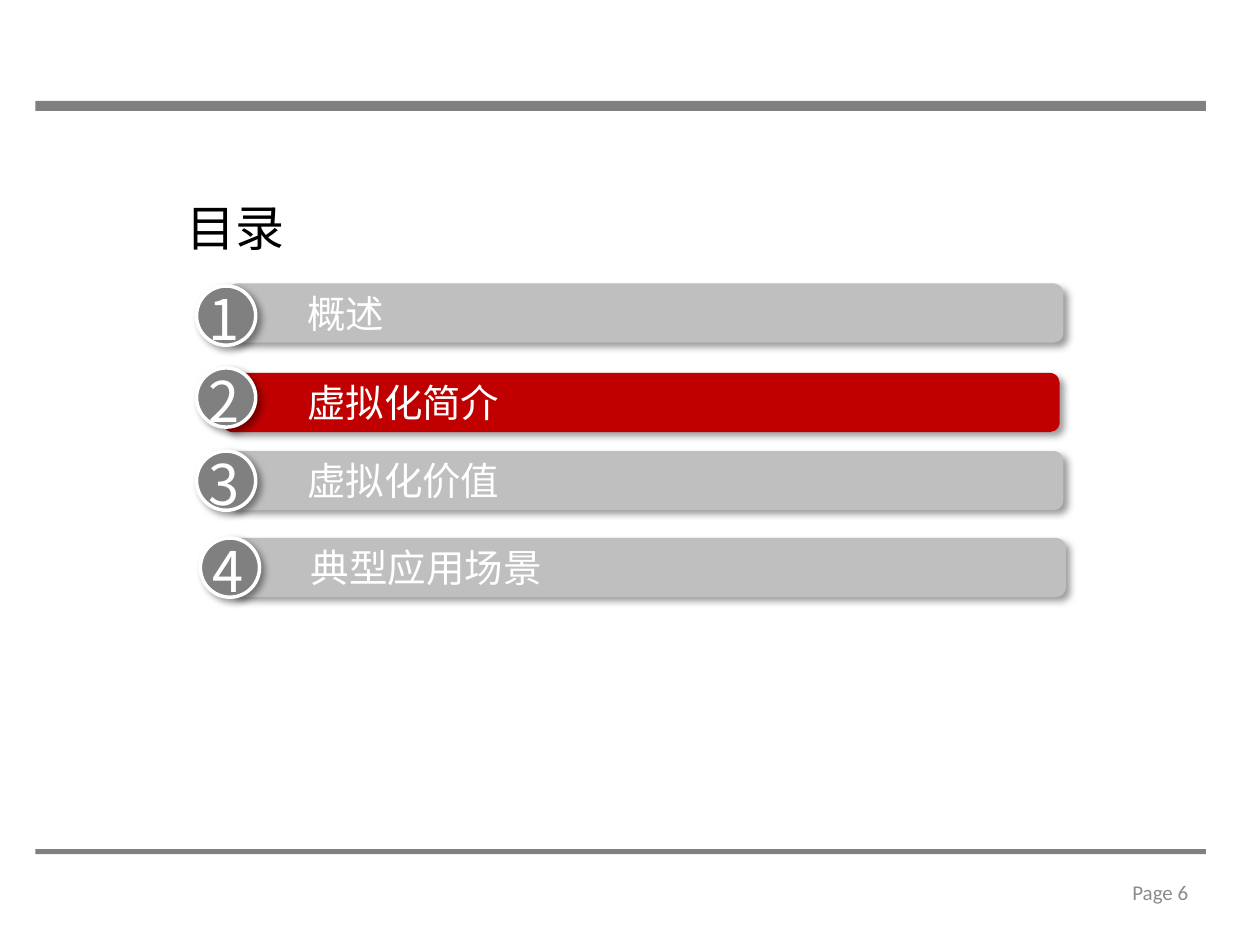
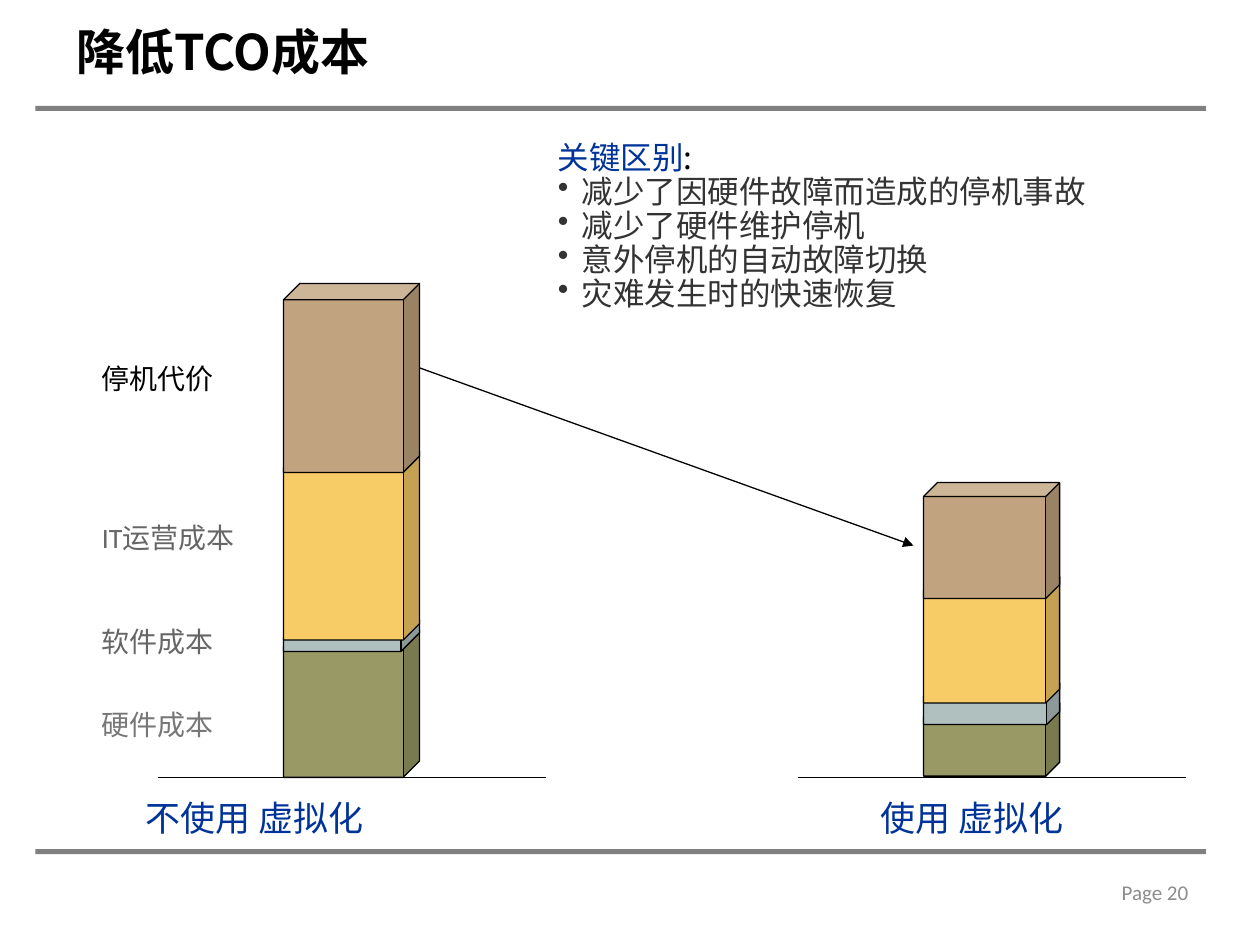
from dataclasses import dataclass

from lxml.etree import SubElement
from pptx import Presentation
from pptx.dml.color import RGBColor
from pptx.enum.shapes import MSO_CONNECTOR, MSO_SHAPE
from pptx.enum.text import MSO_ANCHOR, PP_ALIGN
from pptx.oxml.ns import qn
from pptx.util import Inches, Pt

COLORS = {
    "black": "000000", "white": "FFFFFF", "rule": "808080", "page": "8C8C8C",
    "bar": "BFBFBF", "current": "C00000", "blue": "003399", "body": "333333",
    "label": "666666", "label_light": "777777",
    "hardware": "999966", "software": "AFC0BF", "operations": "F7CB66", "downtime": "C1A37F",
}
CJK, LATIN = "Noto Sans CJK SC", "Calibri"


@dataclass
class AgendaItem:
    text: str
    bar_left: float
    bar_top: float
    badge_left: float
    badge_top: float
    color: str = "bar"


@dataclass
class Layer:
    color: str
    top: float
    height: float
    depth: float


@dataclass
class CostColumn:
    caption: str
    caption_left: float
    left: float
    layers: list[Layer]


@dataclass
class CostLabel:
    text: str
    top: float
    color: str


AGENDA = [
    AgendaItem("概述", 1.8, 2.25, 1.56, 2.27),
    AgendaItem("虚拟化简介", 1.77, 2.96, 1.56, 2.92, "current"),
    AgendaItem("虚拟化价值", 1.8, 3.58, 1.56, 3.58),
    AgendaItem("典型应用场景", 1.82, 4.27, 1.59, 4.27),
]
COLUMNS = [
    CostColumn("不使用 虚拟化", 1.06, 2.25, [
        Layer("hardware", 5, 1.17, 0.12), Layer("software", 4.92, 0.25, 0.59),
        Layer("operations", 3.58, 1.5, 0.12), Layer("downtime", 2.25, 1.5, 0.12)]),
    CostColumn("使用 虚拟化", 6.89, 7.33, [
        Layer("hardware", 5.58, 0.58, 0.19), Layer("software", 5.42, 0.33, 0.31),
        Layer("operations", 4.58, 1, 0.11), Layer("downtime", 3.83, 0.92, 0.12)]),
]
COST_LABELS = [
    CostLabel("停机代价", 2.82, "black"),
    CostLabel("IT运营成本", 4.08, "label"),
    CostLabel("软件成本", 4.91, "label"),
    CostLabel("硬件成本", 5.57, "label_light"),
]
BENEFITS = ["减少了因硬件故障而造成的停机事故", "减少了硬件维护停机",
            "意外停机的自动故障切换", "灾难发生时的快速恢复"]


def rgb(name: str) -> RGBColor:
    return RGBColor.from_string(COLORS[name])


def style_run(r, size: float, color: str, font: str = CJK, bold: bool = False) -> None:
    r.font.size, r.font.bold, r.font.name = Pt(size), bold, font
    r.font.color.rgb = rgb(color)
    SubElement(r._r.get_or_add_rPr(), qn("a:ea"), typeface=CJK)


def add_text(s, text: str, left: float, top: float, width: float, height: float,
             size: float, color: str, font: str = CJK, bold: bool = False, wrap: bool = False):
    sp = s.shapes.add_textbox(Inches(left), Inches(top), Inches(width), Inches(height))
    tf = sp.text_frame
    tf.word_wrap = wrap
    tf.text = text
    style_run(tf.paragraphs[0].runs[0], size, color, font, bold)
    return tf


def add_block(s, kind, left: float, top: float, width: float, height: float,
              fill: str, line: str = "", weight: float = 0.75):
    sp = s.shapes.add_shape(kind, Inches(left), Inches(top), Inches(width), Inches(height))
    sp.shadow.inherit = False
    sp.fill.solid()
    sp.fill.fore_color.rgb = rgb(fill)
    if line:
        sp.line.color.rgb, sp.line.width = rgb(line), Pt(weight)
    else:
        sp.line.fill.background()
    return sp


def drop_shadow(sp) -> None:
    effects = sp._element.spPr.find(qn("a:effectLst"))
    shadow = SubElement(effects, qn("a:outerShdw"), blurRad=str(Pt(4)), dist=str(Pt(3)),
                        dir="2700000", algn="tl", rotWithShape="0")
    color = SubElement(shadow, qn("a:srgbClr"), val=COLORS["black"])
    SubElement(color, qn("a:alpha"), val="40000")


def add_line(s, x1: float, y1: float, x2: float, y2: float, arrow: bool = False) -> None:
    c = s.shapes.add_connector(MSO_CONNECTOR.STRAIGHT, Inches(x1), Inches(y1),
                               Inches(x2), Inches(y2))
    c.line.color.rgb, c.line.width = rgb("black"), Pt(0.75)
    if arrow:
        SubElement(c.line._get_or_add_ln(), qn("a:tailEnd"), type="triangle")
    SubElement(c._element.spPr, qn("a:effectLst"))


def add_frame_slide(prs, page: int, rule_tops: list[float]):
    """Add a blank slide with its grey rules and page number."""
    s = prs.slides.add_slide(prs.slide_layouts[6])
    for top in rule_tops:
        add_block(s, MSO_SHAPE.RECTANGLE, 0.28, top, 9.29, 0.04, "rule")
    tf = add_text(s, f"Page {page}", 7.2, 6.82, 2.33, 0.52, 12, "page", LATIN, wrap=True)
    tf.vertical_anchor = MSO_ANCHOR.MIDDLE
    tf.paragraphs[0].alignment = PP_ALIGN.RIGHT
    return s


def add_agenda_item(s, number: int, item: AgendaItem) -> None:
    x, y = item.badge_left, item.badge_top
    drop_shadow(add_block(s, MSO_SHAPE.ROUNDED_RECTANGLE, item.bar_left, item.bar_top,
                          6.64, 0.47, item.color))
    drop_shadow(add_block(s, MSO_SHAPE.OVAL, x, y, 0.47, 0.47, "rule", "white", 2))
    add_text(s, str(number), x, y - 0.06, 0.43, 0.64, 32, "white")
    add_text(s, item.text, x + 0.78, item.bar_top, 0.2 + 0.31 * len(item.text), 0.47, 22, "white")


def add_cost_column(s, column: CostColumn) -> None:
    for layer in column.layers:
        sp = add_block(s, MSO_SHAPE.CUBE, column.left, layer.top, 1.08, layer.height,
                       layer.color, "black")
        sp.adjustments[0] = layer.depth
    add_line(s, column.left - 1, 6.17, column.left + 2.08, 6.17)
    add_text(s, column.caption, column.caption_left, 6.27, 0.28 * len(column.caption), 0.44,
             20, "blue", LATIN)


def add_benefits(s) -> None:
    tf = add_text(s, "关键区别", 4.33, 1.08, 5.67, 2.08, 18, "blue", wrap=True)
    r = tf.paragraphs[0].add_run()
    r.text = ":"
    style_run(r, 18, "black")
    for benefit in BENEFITS:
        p = tf.add_paragraph()
        p.text = benefit
        style_run(p.runs[0], 18, "body", LATIN)
    for i, p in enumerate(tf.paragraphs):
        p.line_spacing = 0.9
        pPr = p._p.get_or_add_pPr()
        pPr.set("marL", str(Inches(0.19)))
        pPr.set("indent", str(Inches(-0.19)))
        if i:
            SubElement(pPr, qn("a:buChar"), char="•")


def build_agenda(prs) -> None:
    s = add_frame_slide(prs, 6, [0.8, 0.84, 6.74])
    add_text(s, "目录", 1.38, 1.52, 0.99, 0.57, 28, "black")
    for number, item in enumerate(AGENDA, 1):
        add_agenda_item(s, number, item)


def build_costs(prs) -> None:
    s = add_frame_slide(prs, 20, [0.84, 6.74])
    tf = add_text(s, "降低TCO成本", 0.51, 0.13, 6.14, 0.55, 28, "black", bold=True, wrap=True)
    tf.vertical_anchor = MSO_ANCHOR.MIDDLE
    add_benefits(s)
    # Cost columns, their labels and the falling downtime cost
    for column in COLUMNS:
        add_cost_column(s, column)
    for label in COST_LABELS:
        width = 1.37 if label.text.startswith("IT") else 1.09
        add_text(s, label.text, 0.71, label.top, width, 0.33, 16, label.color, LATIN)
    add_line(s, 3.33, 2.92, 7.25, 4.33, arrow=True)


def main() -> None:
    prs = Presentation()
    prs.slide_width, prs.slide_height = Inches(10), Inches(7.5)
    build_agenda(prs)
    build_costs(prs)
    prs.save("out.pptx")


if __name__ == "__main__":
    main()
